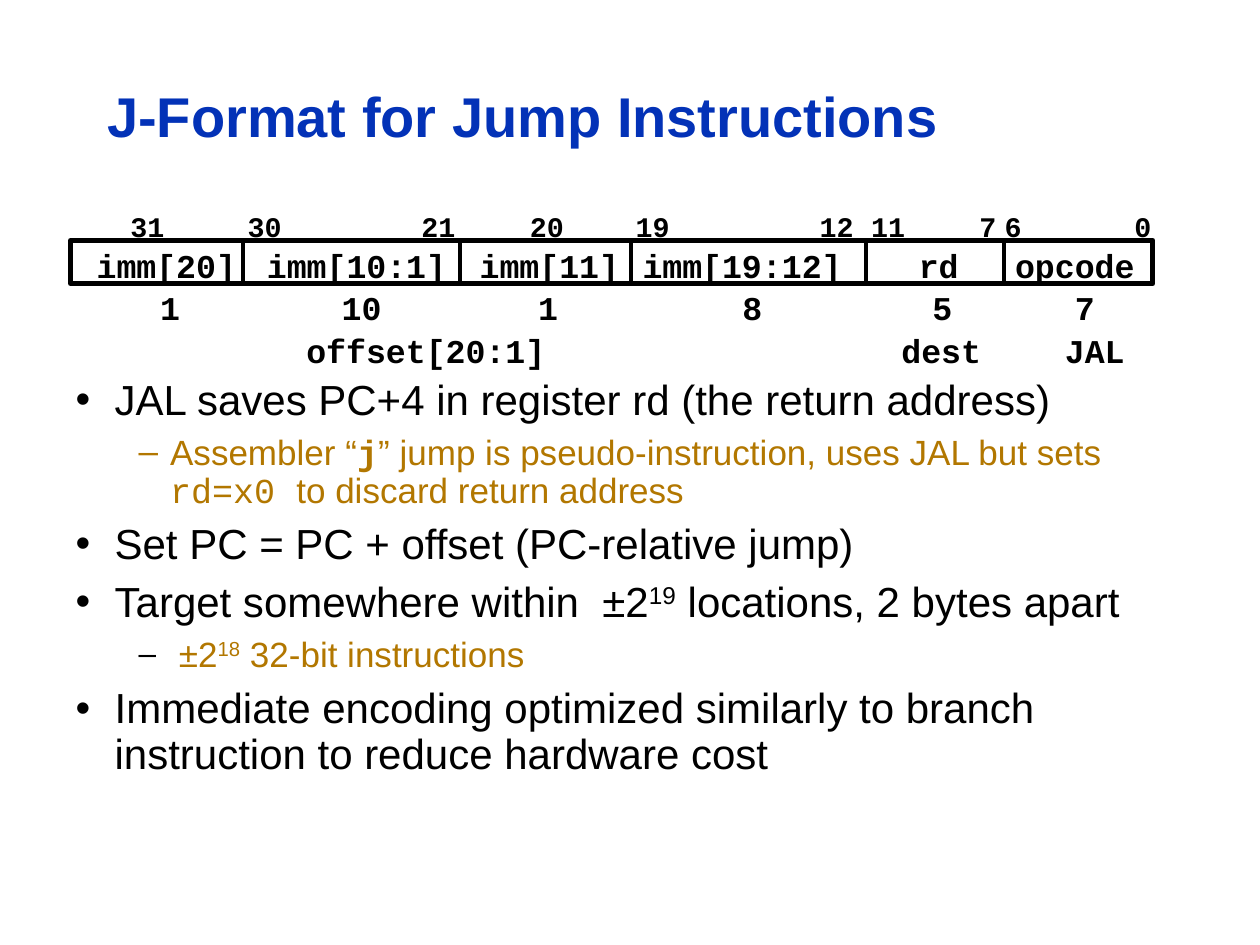
from lxml.etree import SubElement
from pptx import Presentation
from pptx.dml.color import RGBColor
from pptx.enum.shapes import MSO_CONNECTOR as Link, MSO_SHAPE as Kind
from pptx.enum.text import MSO_ANCHOR as Anchor, MSO_AUTO_SIZE as Fit, PP_ALIGN as Align
from pptx.oxml.ns import qn
from pptx.util import Inches, Pt

SANS, MONO = "Arial", "Courier New"
BLACK, BLUE, GOLD = "000000", "0332B7", "B27700"

EDGES = [1.37, 3.09, 4.45, 6.31, 7.41]
ROWS = [
    (-0.3, 16.2, [("31", 0.61), ("30", 1.54), ("21", 2.92), ("20", 3.78), ("19", 4.62),
                  ("12", 6.08), ("11", 6.49), ("7", 7.28), ("6", 7.48), ("0", 8.51)]),
    (-0.01, 19, [("imm[20]", 0.76), ("imm[10:1]", 2.27), ("imm[11]", 3.8),
                 ("imm[19:12]", 5.33), ("rd", 6.89), ("opcode", 7.97)]),
    (0.32, 19, [("1", 0.79), ("10", 2.31), ("1", 3.79), ("8", 5.41), ("5", 6.92), ("7", 8.05)]),
    (0.66, 19, [("offset[20:1]", 2.82), ("dest", 6.91), ("JAL", 8.13)]),
]

POINTS = [
    (0, [("JAL saves PC+4 in register rd (the return address)", {})]),
    (1, [("Assembler “", {}), ("j", {"face": MONO, "bold": True}),
         ("” jump is pseudo-instruction, uses JAL but sets ", {}),
         ("rd=x0 ", {"face": MONO}), ("to discard return address", {})]),
    (0, [("Set PC = PC + offset (PC-relative jump)", {})]),
    (0, [("Target somewhere within  ±2", {}), ("19", {"base": 30}),
         (" locations, 2 bytes apart", {})]),
    (1, [(" ", {"size": 18, "tint": BLACK}), ("±2", {}), ("18", {"base": 30}),
         (" 32-bit instructions", {})]),
    (0, [("Immediate encoding optimized similarly to branch instruction "
          "to reduce hardware cost", {})]),
]
LEVELS = [
    {"size": 24, "tint": BLACK, "mark": "•", "left": 0.31, "hang": 0.31},
    {"size": 20, "tint": GOLD, "mark": "–", "left": 0.75, "hang": 0.25},
]


def color(tint):
    return RGBColor.from_string(tint)


def write(para, text, size, tint, face=SANS, bold=False, base=0):
    run = para.add_run()
    run.text = text
    font = run.font
    font.size, font.name, font.bold = Pt(size), face, bold
    font.color.rgb = color(tint)
    if base:
        font._element.set("baseline", str(base * 1000))


def place(shape, x, y, w, h):
    shape.left, shape.top = Inches(x), Inches(y)
    shape.width, shape.height = Inches(w), Inches(h)


def head(slide, x, y, w, h):
    title = slide.shapes.title
    place(title, x, y, w, h)
    frame = title.text_frame
    frame.auto_size, frame.vertical_anchor = Fit.NONE, Anchor.MIDDLE
    para = frame.paragraphs[0]
    para.alignment, para.line_spacing = Align.LEFT, 0.9
    write(para, "J-Format for Jump Instructions", 32, BLUE, bold=True)


def style(para, look, first):
    props = para._p.get_or_add_pPr()
    props.set("marL", str(Inches(look["left"])))
    props.set("indent", str(-Inches(look["hang"])))
    gap = SubElement(props, qn("a:spcBef"))
    SubElement(gap, qn("a:spcPct")).set("val", "0" if first else "30000")
    SubElement(props, qn("a:buFont")).set("typeface", SANS)
    SubElement(props, qn("a:buChar")).set("char", look["mark"])
    para.line_spacing = 0.9


def body(slide, x, y, w, h):
    holder = slide.placeholders[1]
    place(holder, x, y, w, h)
    frame = holder.text_frame
    frame.auto_size, frame.vertical_anchor = Fit.NONE, Anchor.TOP
    for num, (level, runs) in enumerate(POINTS):
        para = frame.add_paragraph() if num else frame.paragraphs[0]
        para.level = level
        look = LEVELS[level]
        style(para, look, num == 0)
        for text, extra in runs:
            write(para, text, **{"size": look["size"], "tint": look["tint"], **extra})


def label(shapes, text, mid, top, size):
    w = 0.2 + len(text) * size * 0.6 / 72
    h = 0.1 + size * 1.2 / 72
    box = shapes.add_textbox(Inches(mid - w / 2), Inches(top), Inches(w), Inches(h))
    frame = box.text_frame
    frame.word_wrap, frame.auto_size = False, Fit.SHAPE_TO_FIT_TEXT
    para = frame.paragraphs[0]
    para.alignment = Align.CENTER
    write(para, text, size, BLACK, MONO, True)


def fields(slide, x, y, w, h):
    shapes = slide.shapes.add_group_shape().shapes
    for drop, size, cells in ROWS:
        for text, mid in cells:
            label(shapes, text, x + mid, y + drop, size)
    bar = shapes.add_shape(Kind.RECTANGLE, Inches(x), Inches(y), Inches(w), Inches(h))
    bar.shadow.inherit = False
    bar.fill.background()
    bar.line.color.rgb, bar.line.width = color(BLACK), Pt(3)
    for edge in EDGES:
        at = Inches(x + edge)
        rule = shapes.add_connector(Link.STRAIGHT, at, Inches(y), at, Inches(y + h))
        rule.line.color.rgb, rule.line.width = color(BLACK), Pt(2.25)
        SubElement(rule._element.spPr, qn("a:effectLst"))


def main():
    deck = Presentation()
    deck.slide_width, deck.slide_height = Inches(10), Inches(7.5)
    slide = deck.slides.add_slide(deck.slide_layouts[1])
    head(slide, 0.75, 0.36, 8.4, 1.17)
    body(slide, 0.5, 2.96, 9.25, 3.44)
    fields(slide, 0.56, 1.91, 8.59, 0.34)
    deck.save("out.pptx")


if __name__ == "__main__":
    main()
